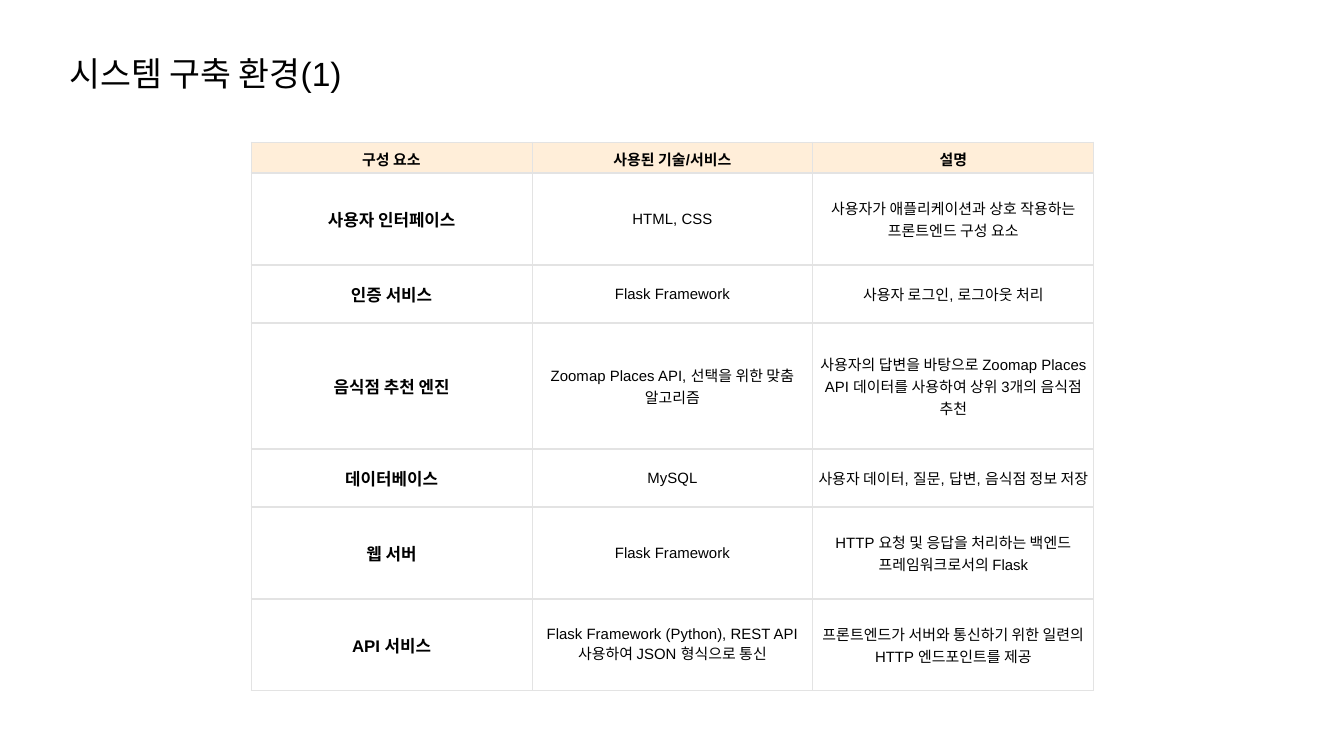
"""Build the system environment slide with its component table."""
from lxml.etree import SubElement
from pptx import Presentation
from pptx.dml.color import RGBColor as Color
from pptx.enum.text import MSO_ANCHOR as Anchor, MSO_AUTO_SIZE as AutoSize, PP_ALIGN as Align
from pptx.oxml.ns import qn
from pptx.util import Pt

PX = 914400 / 134.4
COLORS = {"text": "000000", "header": "FFEED9", "body": "FFFFFF", "border": "E3E3E3"}
COLUMN_WIDTH = 281
ROW_HEIGHTS = [31, 92, 58, 126, 58, 92, 92]
ROWS = [
    ("구성 요소", "사용된 기술/서비스", "설명"),
    ("사용자 인터페이스", "HTML, CSS", "사용자가 애플리케이션과 상호 작용하는 프론트엔드 구성 요소"),
    ("인증 서비스", "Flask Framework", "사용자 로그인, 로그아웃 처리"),
    ("음식점 추천 엔진", "Zoomap Places API, 선택을 위한 맞춤 알고리즘",
     "사용자의 답변을 바탕으로 Zoomap Places API 데이터를 사용하여 상위 3개의 음식점 추천"),
    ("데이터베이스", "MySQL", "사용자 데이터, 질문, 답변, 음식점 정보 저장"),
    ("웹 서버", "Flask Framework", "HTTP 요청 및 응답을 처리하는 백엔드 프레임워크로서의 Flask"),
    ("API 서비스", "Flask Framework (Python), REST API 사용하여 JSON 형식으로 통신",
     "프론트엔드가 서버와 통신하기 위한 일련의 HTTP 엔드포인트를 제공"),
]


def px(*lengths):
    return [round(length * PX) for length in lengths]


def write(para, text, size, bold=False):
    span = para.add_run()
    span.text = text
    for name, value in {"name": "Arial", "size": Pt(size), "bold": bold}.items():
        setattr(span.font, name, value)
    span.font.color.rgb = Color.from_string(COLORS["text"])


deck = Presentation()
deck.slide_width, deck.slide_height = px(1344, 756)
page = deck.slides.add_slide(deck.slide_layouts[6])

frame = page.shapes.add_table(
    len(ROWS), 3, *px(251, 142, 3 * COLUMN_WIDTH, sum(ROW_HEIGHTS)))
table = frame.table
for column in table.columns:
    column.width = px(COLUMN_WIDTH)[0]

inset_x, inset_y = px(5, 3)
last = len(ROWS) - 1
for row, texts in enumerate(ROWS):
    table.rows[row].height = px(ROW_HEIGHTS[row])[0]
    header = row == 0
    widths = {"lnL": 0.6, "lnR": 0.6, "lnT": 0.6 if header else 1, "lnB": 0.6 if row == last else 1}
    for column, text in enumerate(texts):
        cell = table.cell(row, column)
        cell_format = {
            "margin_left": inset_x, "margin_right": inset_x,
            "margin_top": inset_y, "margin_bottom": inset_y,
            "vertical_anchor": Anchor.BOTTOM if header else Anchor.MIDDLE,
        }
        for name, value in cell_format.items():
            setattr(cell, name, value)
        properties = cell._tc.get_or_add_tcPr()
        for side, width in widths.items():
            line = SubElement(properties, qn(f"a:{side}"), w=str(Pt(width)))
            fill = SubElement(line, qn("a:solidFill"))
            SubElement(fill, qn("a:srgbClr"), val=COLORS["border"])
        cell.fill.solid()
        cell.fill.fore_color.rgb = Color.from_string(COLORS["header" if header else "body"])
        para = cell.text_frame.paragraphs[0]
        para.alignment = Align.CENTER
        label = column == 0 and not header
        write(para, text, 9 if label else 8, bold=header or label)

box = page.shapes.add_textbox(*px(56, 46, 339, 54))
box.text_frame.word_wrap = True
box.text_frame.auto_size = AutoSize.SHAPE_TO_FIT_TEXT
write(box.text_frame.paragraphs[0], "시스템 구축 환경(1)", 18)

deck.save("out.pptx")
